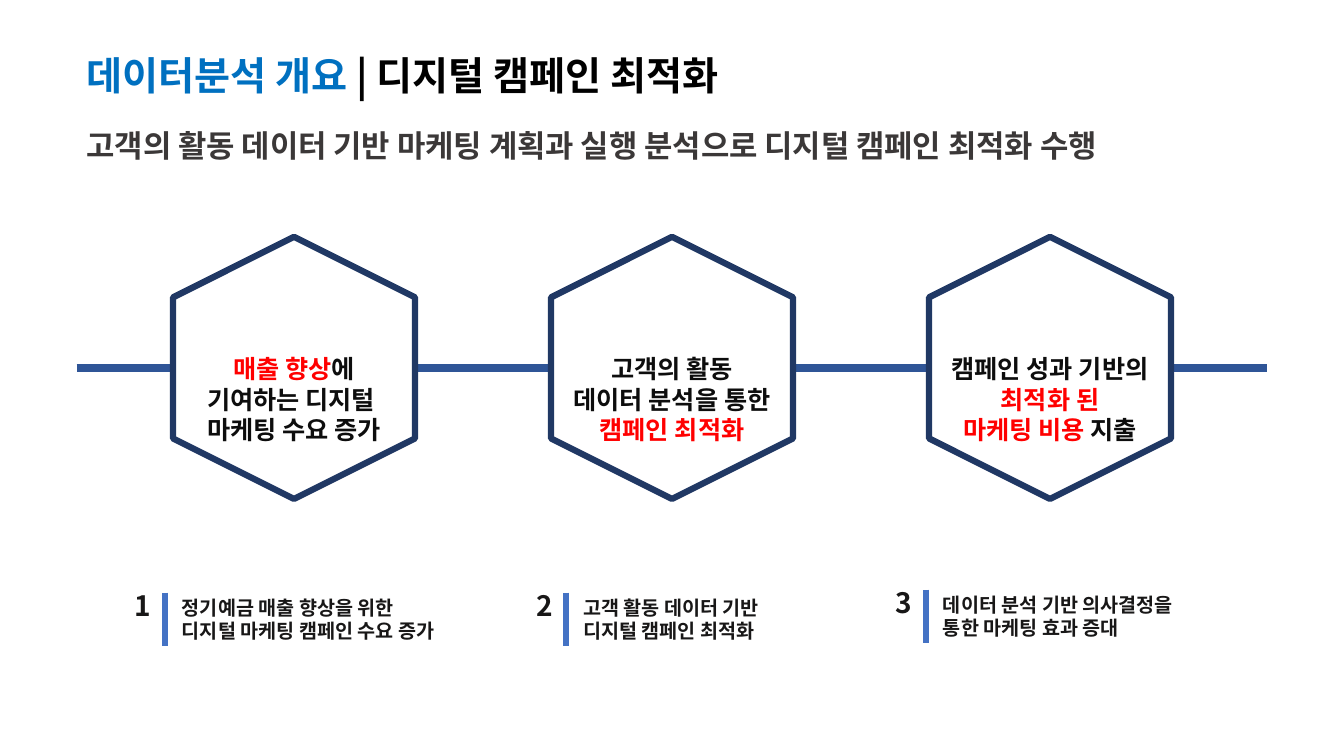
from collections import namedtuple
from dataclasses import dataclass

import pptx
import pptx.dml.color
import pptx.enum.shapes
import pptx.enum.text
import pptx.oxml.ns
import pptx.util
from lxml import etree

COLS, ROWS = 160, 90
WIDTH, HEIGHT = pptx.util.Inches(13.333), pptx.util.Inches(7.5)
Box = namedtuple("Box", "x y w h")


@dataclass(frozen=True)
class Theme:
    font: str = "Noto Sans CJK KR"
    blue: str = "0070C0"
    black: str = "000000"
    gray: str = "3B3838"
    ink: str = "0D0D0D"
    red: str = "FF0000"
    note: str = "181717"
    white: str = "FFFFFF"
    axis: str = "2F5597"
    edge: str = "203864"
    bar: str = "4472C4"
    title: int = 28
    lead: int = 22
    digit: int = 20
    goal: int = 18
    small: int = 14
    thick: float = 6
    thin: float = 4.5


T = Theme()

# Each goal: text width and its paragraphs, as (text, colour) pieces
GOALS = [
    (25.8, [[("매출 향상", T.red), ("에", T.ink)],
            [("기여하는 디지털 \v마케팅 수요 증가", T.ink)]]),
    (28.8, [[("고객의 활동\v데이터 분석을 통한\v", T.ink),
             ("캠페인 최적화", T.red)]]),
    (28.8, [[("캠페인 성과 기반의", T.ink)],
            [("최적화 된", T.red)],
            [("마케팅 비용 ", T.red), ("지출", T.ink)]]),
]
NOTES = [
    (Box(14.88, 69.48, 42, 7.7),
     ["정기예금 매출 향상을 위한", "디지털 마케팅 캠페인 수요 증가"]),
    (Box(62.64, 69.48, 31.7, 7.7),
     ["고객 활동 데이터 기반", "디지털 캠페인 최적화"]),
    (Box(105.48, 69.12, 38.8, 7.7),
     ["데이터 분석 기반 의사결정을", "통한 마케팅 효과 증대"]),
]


def place(box):
    """Turn grid cells into slide lengths."""
    col, row = WIDTH / COLS, HEIGHT / ROWS
    return (round(box.x * col), round(box.y * row),
            round(box.w * col), round(box.h * row))


def tint(text):
    return pptx.dml.color.RGBColor.from_string(text)


def style(run, size, color):
    font = run.font
    font.size, font.bold = pptx.util.Pt(size), True
    font.color.rgb = tint(color)
    font.name = T.font
    east = etree.SubElement(run._r.get_or_add_rPr(), pptx.oxml.ns.qn("a:ea"))
    east.set("typeface", T.font)


def write(shapes, box, paras, size, center=False):
    frame = shapes.add_textbox(*place(box)).text_frame
    frame.word_wrap = False
    frame.auto_size = pptx.enum.text.MSO_AUTO_SIZE.SHAPE_TO_FIT_TEXT
    for i, pieces in enumerate(paras):
        para = frame.add_paragraph() if i else frame.paragraphs[0]
        if center:
            para.alignment = pptx.enum.text.PP_ALIGN.CENTER
        for text, color in pieces:
            for j, line in enumerate(text.split("\v")):
                if j:
                    para.add_line_break()
                if line:
                    run = para.add_run()
                    run.text = line
                    style(run, size, color)


def rule(shapes, box, color, width):
    x, y, w, h = place(box)
    line = shapes.add_connector(
        pptx.enum.shapes.MSO_CONNECTOR.STRAIGHT, x, y, x + w, y + h)
    line.line.color.rgb = tint(color)
    line.line.width = pptx.util.Pt(width)
    etree.SubElement(line._element.spPr, pptx.oxml.ns.qn("a:effectLst"))


def header(shapes, box):
    write(shapes, Box(box.x, box.y, 87.6, 6.84),
          [[("데이터분석 개요 ", T.blue), ("| 디지털 캠페인 최적화", T.black)]],
          T.title)
    lead = "고객의 활동 데이터 기반 마케팅 계획과 실행 분석으로 디지털 캠페인 최적화 수행"
    write(shapes, Box(box.x, box.y + 9, box.w, 5.64),
          [[(lead, T.gray)]], T.lead)


def goal(shapes, box, width, paras):
    """Upright hexagon filling the box, with text in its lower half."""
    mid = box.x + box.w / 2
    turned = Box(mid - box.h / 2, box.y + (box.h - box.w) / 2, box.h, box.w)
    hexagon = shapes.add_shape(
        pptx.enum.shapes.MSO_SHAPE.HEXAGON, *place(turned))
    hexagon.rotation = 90
    hexagon.shadow.inherit = False
    hexagon.fill.solid()
    hexagon.fill.fore_color.rgb = tint(T.white)
    hexagon.line.color.rgb = tint(T.edge)
    hexagon.line.width = pptx.util.Pt(T.thin)
    write(shapes, Box(mid - width / 2, box.y + 13.32, width, 12.12),
          paras, T.goal, center=True)


def chain(shapes, box):
    """Three goals at equal steps along one axis."""
    rule(shapes, Box(box.x, box.y + box.h / 2, box.w, 0), T.axis, T.thick)
    wide, step = 28.8, 45
    left = box.x + box.w / 2 - step - wide / 2
    for i, (width, paras) in enumerate(GOALS):
        goal(shapes, Box(left + i * step, box.y, wide, box.h), width, paras)


def note(shapes, box, digit, lines):
    group = shapes.add_group_shape().shapes
    write(group, Box(box.x + 5.6, box.y + 0.84, box.w - 5.6, 6.84),
          [[(line, T.note)] for line in lines], T.small)
    write(group, Box(box.x, box.y, 4.3, 5.3), [[(digit, T.note)]], T.digit)
    rule(group, Box(box.x + 4.75, box.y + 1.08, 0, 6.36), T.bar, T.thin)


def main():
    deck = pptx.Presentation()
    deck.slide_width, deck.slide_height = WIDTH, HEIGHT
    shapes = deck.slides.add_slide(deck.slide_layouts[6]).shapes
    header(shapes, Box(9.12, 5.52, 138.96, 14.64))
    chain(shapes, Box(9.12, 28.2, 141.76, 31.2))
    for i, (box, lines) in enumerate(NOTES, 1):
        note(shapes, box, str(i), lines)
    deck.save("out.pptx")


if __name__ == "__main__":
    main()
